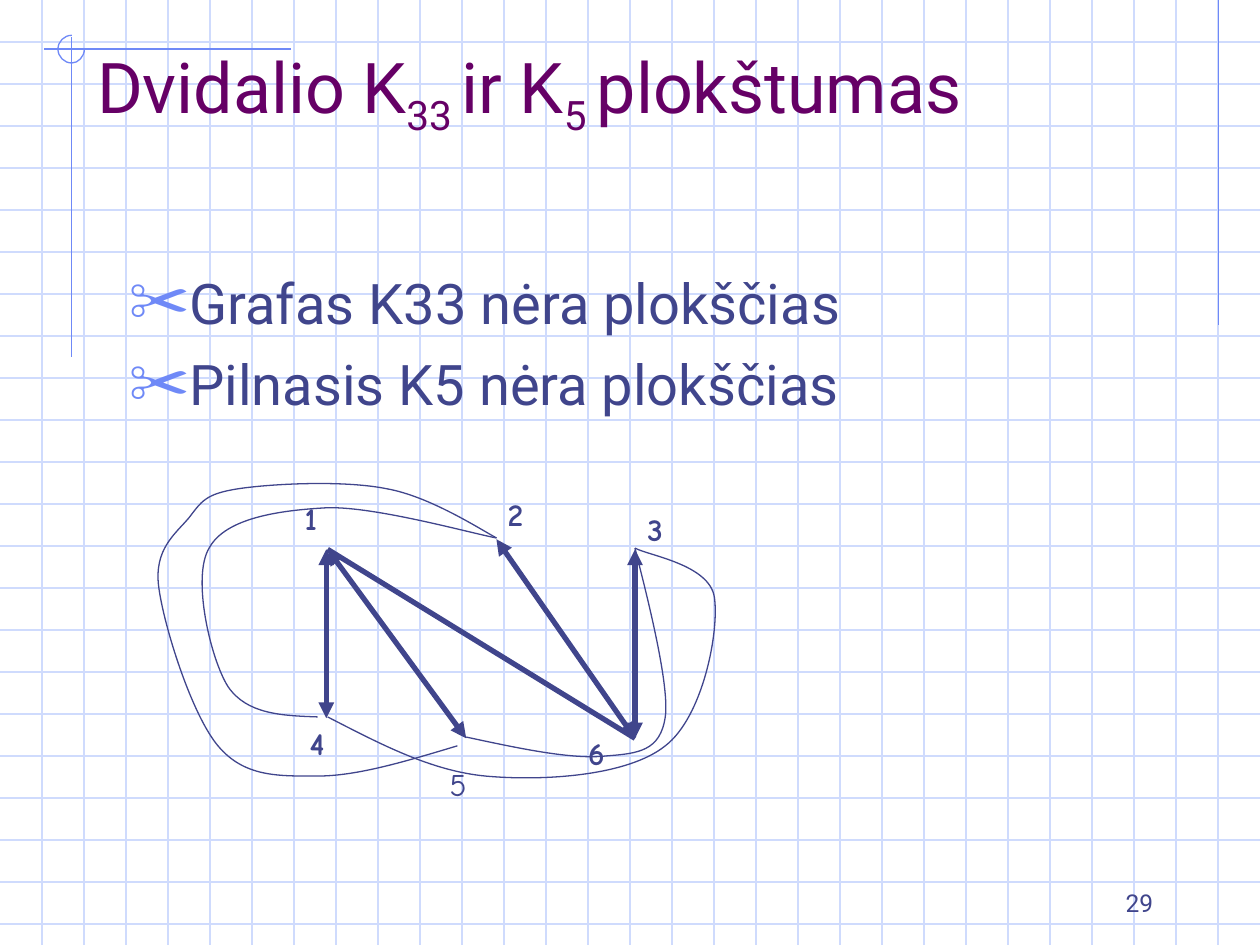
from lxml import etree
from pptx import Presentation, util as u
from pptx.dml.color import RGBColor
from pptx.enum import shapes, text
from pptx.oxml.ns import qn

COLORS = {"grid": "CFDBFD", "accent": "6F89F7", "ink": "40458C", "title": "660066"}
WIDTH, HEIGHT, CELL = 10, 7.5, 1 / 3
SANS, HAND = "Roboto", "Comic Neue"

TITLE = [("Dvidalio K", 0), ("33 ", -25), ("ir K", 0), ("5 ", -25), ("plokštumas", 0)]
BULLETS = ["Grafas K33 nėra plokščias", "Pilnasis K5 nėra plokščias"]
PAGE_NUMBER = "29"
ORNAMENT = [(9.67, 0, 9.67, 2.58), (2.31, 0.39, 0.35, 0.39), (0.57, 0.29, 0.57, 2.83)]
ORNAMENT_ARC = [(0.57, 0.28), (0.51, 0.28), (0.46, 0.33), (0.46, 0.39), (0.46, 0.45),
                (0.51, 0.5), (0.57, 0.5), (0.62, 0.5), (0.67, 0.45), (0.67, 0.39)]

EDGES = [
    (2.59, 4.36, 2.59, 5.7, True),
    (5.04, 4.36, 5.04, 5.86, True),
    (2.6, 4.36, 3.7, 5.86, True),
    (2.6, 4.36, 5.04, 5.86, False),
    (3.94, 4.28, 5.04, 5.86, True),
]
VERTICES = [
    ("1", 2.32, 3.91, True),
    ("2", 3.93, 3.88, True),
    ("3", 5.04, 4, True),
    ("4", 2.36, 5.7, True),
    ("6", 4.57, 5.78, True),
    ("5", 3.47, 6.02, False),
]
CURVES = [
    [(2.52, 5.69), (2.24, 5.68), (1.96, 5.67), (1.81, 5.45), (1.67, 5.23), (1.52, 4.58),
     (1.66, 4.35), (1.79, 4.11), (2.22, 4.05), (2.6, 4.03), (2.98, 4.02), (3.73, 4.23),
     (3.94, 4.27)],
    [(2.6, 5.69), (3.01, 5.9), (3.42, 6.12), (3.86, 6.16), (4.31, 6.2), (4.98, 6.16),
     (5.28, 5.92), (5.58, 5.69), (5.71, 5.01), (5.67, 4.74), (5.63, 4.48), (5.15, 4.41),
     (5.04, 4.35)],
    [(3.7, 5.85), (4.12, 5.94), (4.54, 6.03), (4.81, 6), (5.07, 5.98), (5.24, 5.96),
     (5.28, 5.69), (5.32, 5.41), (5.09, 4.56), (5.04, 4.35)],
    [(3.63, 5.92), (3.23, 6.04), (2.84, 6.16), (2.52, 6.16), (2.21, 6.16), (1.94, 6.17),
     (1.73, 5.92), (1.52, 5.67), (1.3, 4.97), (1.26, 4.66), (1.22, 4.36), (1.39, 4.24),
     (1.5, 4.11), (1.6, 3.98), (1.63, 3.92), (1.89, 3.88), (2.15, 3.84), (2.73, 3.81),
     (3.07, 3.88), (3.41, 3.94), (3.81, 4.2), (3.94, 4.27)],
]


def color(name):
    return RGBColor.from_string(COLORS[name])


def set_line(shape, name, points=0.75):
    shape.line.color.rgb = color(name)
    shape.line.width = u.Pt(points)


def add_line(page, x1, y1, x2, y2, name, points=0.75, arrows=False):
    line = page.shapes.add_connector(
        shapes.MSO_CONNECTOR.STRAIGHT, *[u.Inches(v) for v in (x1, y1, x2, y2)])
    set_line(line, name, points)
    if arrows:
        outline = line.line._get_or_add_ln()
        for end in ("a:headEnd", "a:tailEnd"):
            etree.SubElement(outline, qn(end), type="triangle")
    etree.SubElement(line.element.spPr, qn("a:effectLst"))
    return line


def add_curve(page, controls, name):
    start, *others = [tuple(u.Inches(v) for v in point) for point in controls]
    builder = page.shapes.build_freeform(*start)
    builder.add_line_segments(others, close=False)
    curve = builder.convert_to_shape()
    outline = next(curve.element.iter(qn("a:path")))
    segments = outline.findall(qn("a:lnTo"))
    for i in range(0, len(segments), 3):
        bezier = etree.SubElement(outline, qn("a:cubicBezTo"))
        for segment in segments[i:i + 3]:
            bezier.append(segment[0])
            outline.remove(segment)
    curve.shadow.inherit = False
    curve.fill.background()
    set_line(curve, name)
    return curve


def add_span(para, words, size, name, font=SANS, bold=False):
    span = para.add_run()
    span.text = words
    span.font.size, span.font.name, span.font.bold = u.Pt(size), font, bold
    span.font.color.rgb = color(name)
    return span


def add_label(page, words, place, size, font=SANS, bold=False):
    box = page.shapes.add_textbox(*[u.Inches(v) for v in place])
    box.text_frame.word_wrap = True
    add_span(box.text_frame.paragraphs[0], words, size, "ink", font, bold)
    return box


def place_placeholder(shape, place, anchor):
    shape.left, shape.top, shape.width, shape.height = [u.Inches(v) for v in place]
    frame = shape.text_frame
    frame.auto_size = text.MSO_AUTO_SIZE.NONE
    frame.vertical_anchor = anchor
    return frame


def add_bullet(para):
    props = para._p.get_or_add_pPr()
    props.set("marL", str(u.Inches(0.38)))
    props.set("indent", str(-u.Inches(0.38)))
    tint = etree.SubElement(props, qn("a:buClr"))
    etree.SubElement(tint, qn("a:srgbClr"), val=COLORS["accent"])
    etree.SubElement(props, qn("a:buSzPct"), val="110000")
    etree.SubElement(props, qn("a:buFont"), typeface=SANS)
    etree.SubElement(props, qn("a:buChar"), char="✂")


def draw_master(page, master):
    rows = [row * CELL for row in range(1, int(HEIGHT / CELL) + 1)]
    columns = [column * CELL for column in range(1, round(WIDTH / CELL))]
    parts = [add_line(page, 0, y, WIDTH, y, "grid") for y in rows]
    parts += [add_line(page, x, 0, x, HEIGHT, "grid") for x in columns]
    parts += [add_line(page, *ends, "accent") for ends in ORNAMENT]
    parts.append(add_curve(page, ORNAMENT_ARC, "accent"))

    number = add_label(page, PAGE_NUMBER, (7.17, 6.83, 2.08, 0.5), 14)
    number.text_frame.vertical_anchor = text.MSO_ANCHOR.BOTTOM
    number.text_frame.paragraphs[0].alignment = text.PP_ALIGN.RIGHT
    parts.append(number)

    for part in parts:
        master.shapes.element.append(part.element)


def write_text(page):
    frame = place_placeholder(
        page.shapes.title, (0.67, 0.33, 8.5, 0.82), text.MSO_ANCHOR.BOTTOM)
    para = frame.paragraphs[0]
    para.alignment = text.PP_ALIGN.LEFT
    for words, baseline in TITLE:
        span = add_span(para, words, 40, "title")
        if baseline:
            span.font._element.set("baseline", str(baseline * 1000))

    frame = place_placeholder(
        page.placeholders[1], (0.92, 2.08, 8.5, 4.5), text.MSO_ANCHOR.TOP)
    for i, words in enumerate(BULLETS):
        para = frame.add_paragraph() if i else frame.paragraphs[0]
        add_bullet(para)
        para.space_before = u.Pt(8 if i else 0)
        add_span(para, words, 32, "ink")


def draw_graph(page):
    for x1, y1, x2, y2, arrows in EDGES:
        add_line(page, x1, y1, x2, y2, "ink", 3, arrows)
    for words, left, top, bold in VERTICES:
        label = add_label(page, words, (left, top, 0.39, 0.4), 18, HAND, bold)
        label.text_frame.auto_size = text.MSO_AUTO_SIZE.SHAPE_TO_FIT_TEXT
    for controls in CURVES:
        add_curve(page, controls, "ink")


def main():
    deck = Presentation()
    deck.slide_width, deck.slide_height = u.Inches(WIDTH), u.Inches(HEIGHT)
    page = deck.slides.add_slide(deck.slide_layouts[1])
    draw_master(page, deck.slide_master)
    write_text(page)
    draw_graph(page)
    deck.save("out.pptx")


if __name__ == "__main__":
    main()
